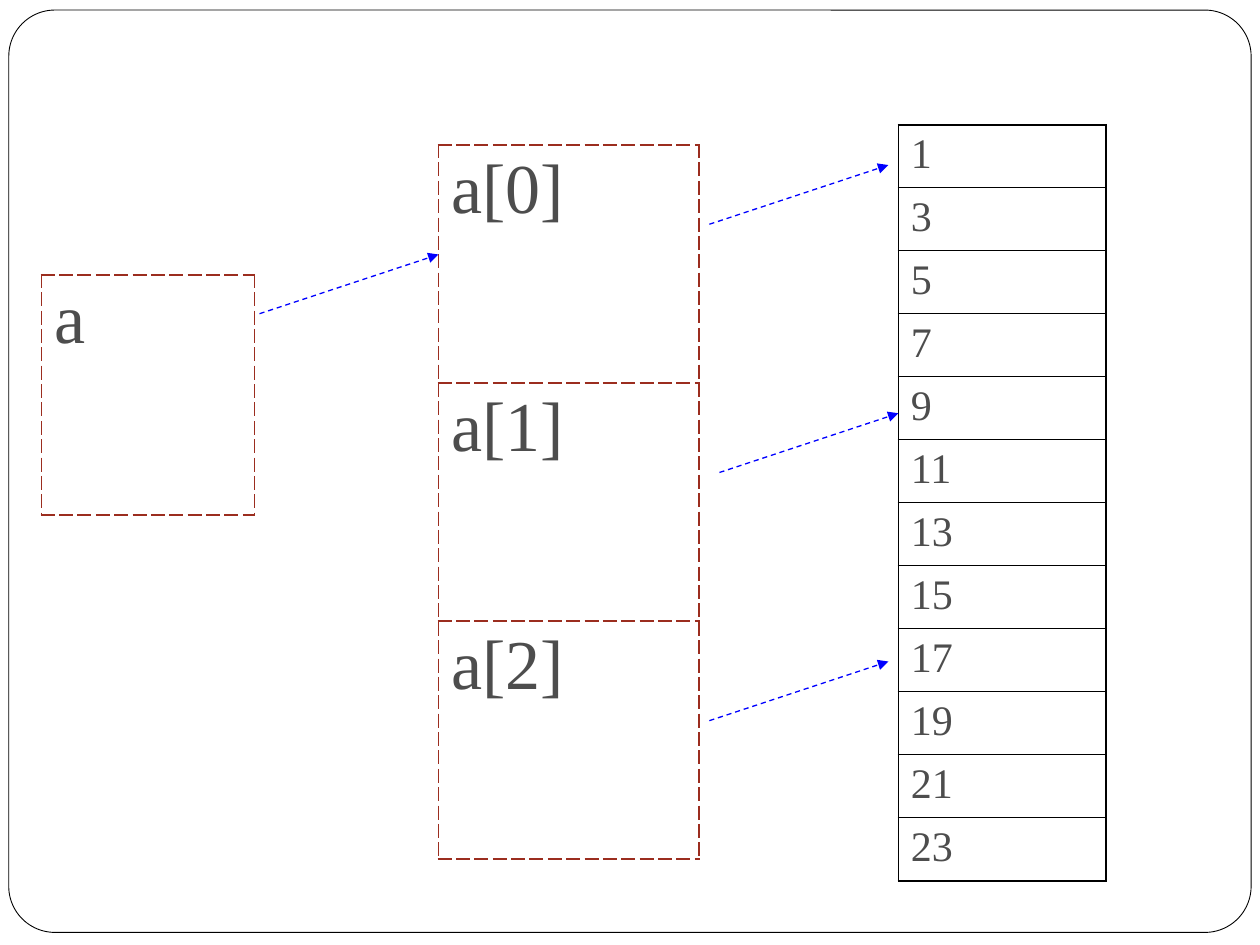
from lxml import etree
from pptx import Presentation
from pptx.dml.color import RGBColor
from pptx.enum.dml import MSO_LINE
from pptx.enum.shapes import MSO_CONNECTOR, MSO_SHAPE
from pptx.oxml.ns import qn
from pptx.util import Inches, Pt

DASH = MSO_LINE.DASH
ROUNDED = MSO_SHAPE.ROUNDED_RECTANGLE
STRAIGHT = MSO_CONNECTOR.STRAIGHT
BLANK_LAYOUT = 6

FONT = "Times New Roman"
TEXT, BLACK, WHITE, BROWN, BLUE = "4D4D4D", "000000", "FFFFFF", "9B2D1F", "0000FF"
THICK, THIN = 1.08, 0.45

VALUES = [str(number) for number in range(1, 24, 2)]
ROWS = [f"a[{index}]" for index in range(3)]
POINTER = ["a"]

ARROW_STARTS = [(2.06, 2.49), (5.63, 1.78), (5.71, 3.75), (5.63, 5.72)]
ARROW_RUN, ARROW_RISE = 1.42, 0.47


def color(value):
    """Turn a hex string into a colour."""
    return RGBColor.from_string(value)


def write(cell, text, size, before):
    """Put formatted text in a table cell."""
    para = cell.text_frame.paragraphs[0]
    para.space_before = Pt(before)
    span = para.add_run()
    span.text = text
    span.font.name = FONT
    span.font.size = Pt(size)
    span.font.color.rgb = color(TEXT)


def set_borders(cell, widths, line_color, dash):
    """Draw the left, right, top and bottom borders of a cell."""
    properties = cell._tc.get_or_add_tcPr()
    for position, (side, width) in enumerate(zip("LRTB", widths)):
        line = etree.Element(qn(f"a:ln{side}"), w=str(int(Pt(width))))
        fill = etree.SubElement(line, qn("a:solidFill"))
        etree.SubElement(fill, qn("a:srgbClr"), val=line_color)
        etree.SubElement(line, qn("a:prstDash"), val=dash)
        properties.insert(position, line)


def add_column(page, texts, left, top, width, row_height, *, size, before,
               line_color, inner, dash):
    """Add a one-column table with a border round each cell."""
    count = len(texts)
    table = page.shapes.add_table(
        count, 1, Inches(left), Inches(top), Inches(width),
        Inches(row_height * count)).table
    table.first_row = table.horz_banding = False
    table.columns[0].width = Inches(width)
    for index, text in enumerate(texts):
        table.rows[index].height = Inches(row_height)
        cell = table.cell(index, 0)
        cell.fill.background()
        write(cell, text, size, before)
        upper = THICK if index == 0 else inner
        lower = THICK if index == count - 1 else inner
        set_borders(cell, (THICK, THICK, upper, lower), line_color, dash)


def add_arrow(page, left, top):
    """Add a dashed arrow that rises to the right."""
    arrow = page.shapes.add_connector(
        STRAIGHT, Inches(left), Inches(top),
        Inches(left + ARROW_RUN), Inches(top - ARROW_RISE))
    arrow.line.color.rgb = color(BLUE)
    arrow.line.width = Pt(0.74)
    arrow.line.dash_style = DASH
    etree.SubElement(arrow.line._get_or_add_ln(), qn("a:tailEnd"), type="triangle")
    etree.SubElement(arrow._element.spPr, qn("a:effectLst"))


def add_frame(page):
    """Add the rounded frame round the slide."""
    frame = page.shapes.add_shape(
        ROUNDED, Inches(0.07), Inches(0.08), Inches(9.86), Inches(7.32))
    frame.adjustments[0] = 0.05
    frame.shadow.inherit = False
    frame.fill.solid()
    frame.fill.fore_color.rgb = color(WHITE)
    frame.line.color.rgb = color(BLACK)
    frame.line.width = Pt(0.51)


deck = Presentation()
deck.slide_width, deck.slide_height = Inches(10), Inches(7.5)
page = deck.slides.add_slide(deck.slide_layouts[BLANK_LAYOUT])

add_frame(page)
value_style = dict(size=24, before=6, line_color=BLACK, inner=THIN, dash="solid")
pointer_style = dict(size=40, before=10, line_color=BROWN, inner=THICK, dash="dash")
add_column(page, VALUES, 7.13, 0.99, 1.65, 0.5, **value_style)
add_column(page, ROWS, 3.48, 1.15, 2.07, 1.89, **pointer_style)
add_column(page, POINTER, 0.33, 2.18, 1.69, 1.91, **pointer_style)
for start in ARROW_STARTS:
    add_arrow(page, *start)

deck.save("out.pptx")
